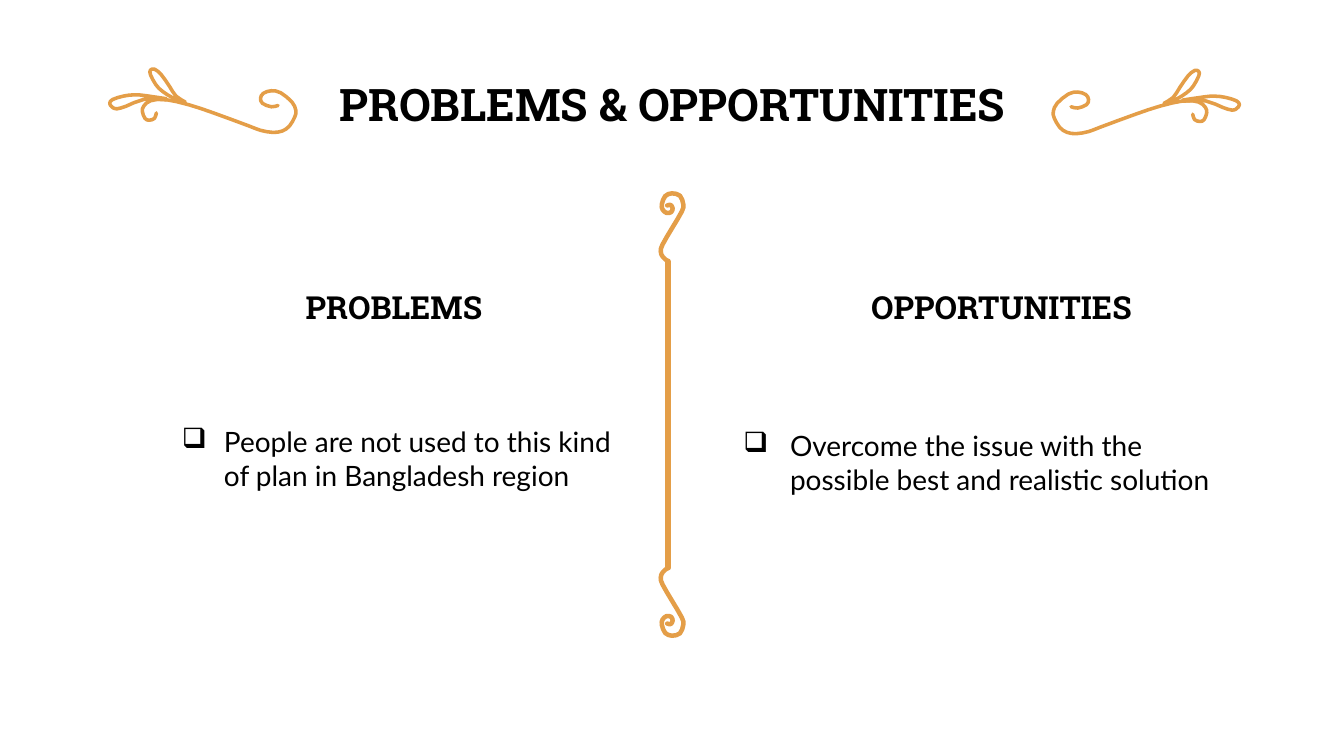
from dataclasses import dataclass

from lxml.etree import SubElement
from pptx import Presentation
from pptx.dml.color import RGBColor as Color
from pptx.enum.shapes import MSO_CONNECTOR as Connector
from pptx.enum.text import MSO_ANCHOR as Anchor, PP_ALIGN as Align
from pptx.oxml.ns import qn
from pptx.util import Pt


@dataclass(frozen=True)
class Theme:
    ink: str = "000000"
    gold: str = "E49E48"
    heading_font: str = "Roboto Slab"
    body_font: str = "Lato"
    title_size: float = 24
    heading_size: float = 17
    body_size: float = 15
    inset: float = 7.2
    branch_width: float = 1.9
    scroll_width: float = 2.4
    bar_width: float = 3


# Centre lines in points, measured from the top left of each ornament.
UPPER_LEAF = [
    (60.5, 18.7), (65.5, 15.5), (69.1, 10.1), (73.4, 4), (77, 1.1), (79.2, 1.6),
    (79.2, 4), (76.3, 9.4), (72.7, 13), (67, 16.6), (61.2, 18.7),
]
LOWER_LEAF = [
    (70.6, 16.9), (82.1, 15.2), (87.8, 14.8), (93.6, 15.5), (99.4, 17.3),
    (101, 19.4), (99.6, 21.4), (97.2, 22.3), (92.2, 20.9), (82.8, 17.3),
    (70.6, 17.5),
]
STEM = [
    (10.8, 20.5), (14.4, 21.2), (19.1, 19.4), (20.2, 16.6), (18.7, 14),
    (14.4, 12.6), (9.4, 13.7), (3.4, 18.6), (1.3, 23), (1.8, 26.5),
    (4.7, 31.5), (8.6, 34.2), (13.7, 34.9), (20.2, 33.8), (26.6, 31.4),
    (45.4, 24.5), (58.3, 20.2), (71.3, 17.3), (79.2, 18), (82.8, 20.9),
    (83.5, 23.8), (82.1, 27.4), (79.9, 28.4), (77, 27.4), (76, 24.5),
]
SCROLL = [
    (4.7, 7.9), (6.5, 7.6), (7.6, 9.4), (6.8, 11.5), (4.3, 11.9), (2.2, 10.1),
    (1.8, 7.2), (3.6, 2.9), (7.2, 1.4), (11.5, 2.7), (13.3, 7.2), (12.6, 11),
    (7.2, 20.2), (2.2, 28.8), (1.2, 32.4), (2.2, 35.3), (5, 37.8),
]


def smooth(points):
    """Add a Catmull-Rom midpoint between each pair of points."""
    padded = [points[0], *points, points[-1]]
    curve = []
    for a, b, c, d in zip(padded, padded[1:], padded[2:], padded[3:]):
        middle = tuple((9 * (q + r) - p - s) / 16
                       for p, q, r, s in zip(a, b, c, d))
        curve += [b, middle]
    return curve + [points[-1]]


def write(paragraph, text, *, font, size, color, bold=False, align=Align.LEFT,
          margin=0, indent=0, bullet=None):
    properties = paragraph._p.get_or_add_pPr()
    properties.set("marL", str(Pt(margin)))
    properties.set("indent", str(Pt(indent)))
    if bullet:
        bullet_color = SubElement(properties, qn("a:buClr"))
        SubElement(bullet_color, qn("a:srgbClr"), val=color)
        SubElement(properties, qn("a:buChar"), char=bullet)
    paragraph.alignment = align
    run = paragraph.add_run()
    run.text = text
    run.font.name = font
    run.font.size = Pt(size)
    run.font.bold = bold
    run.font.color.rgb = Color.from_string(color)


class SlideBuilder:
    def __init__(self, slide, theme):
        self.slide = slide
        self.theme = theme

    def text(self, box, text, **style):
        shape = self.slide.shapes.add_textbox(*map(Pt, box))
        frame = shape.text_frame
        frame.word_wrap = True
        frame.vertical_anchor = Anchor.MIDDLE
        frame.margin_left = frame.margin_right = Pt(self.theme.inset)
        frame.margin_top = frame.margin_bottom = Pt(self.theme.inset)
        write(frame.paragraphs[0], text, color=self.theme.ink, **style)

    def heading(self, box, text, size, **style):
        self.text(box, text, font=self.theme.heading_font, size=size,
                  bold=True, align=Align.CENTER, **style)

    def bullet(self, box, text, margin, indent):
        self.text(box, text, font=self.theme.body_font, size=self.theme.body_size,
                  margin=margin, indent=indent, bullet="❑")

    def stroke(self, shape, width):
        shape.line.color.rgb = Color.from_string(self.theme.gold)
        shape.line.width = Pt(width)
        shape.line._get_or_add_ln().set("cap", "rnd")

    def curve(self, points, width, origin, flip=(1, 1)):
        placed = [
            tuple(Pt(start + sign * value)
                  for start, sign, value in zip(origin, flip, point))
            for point in smooth(points)]
        builder = self.slide.shapes.build_freeform(*placed[0])
        builder.add_line_segments(placed[1:], close=False)
        shape = builder.convert_to_shape()
        shape.shadow.inherit = False
        shape.fill.background()
        self.stroke(shape, width)

    def bar(self, x, top, bottom):
        line = self.slide.shapes.add_connector(
            Connector.STRAIGHT, Pt(x), Pt(top), Pt(x), Pt(bottom))
        self.stroke(line, self.theme.bar_width)
        SubElement(line._element.spPr, qn("a:effectLst"))

    def branch(self, origin, flip=(1, 1)):
        for points in (UPPER_LEAF, LOWER_LEAF, STEM):
            self.curve(points, self.theme.branch_width, origin, flip)

    def divider(self, left, top, bottom):
        join_x, join_y = SCROLL[-1]
        self.curve(SCROLL, self.theme.scroll_width, (left, top))
        self.bar(left + join_x, top + join_y, bottom - join_y)
        self.curve(SCROLL, self.theme.scroll_width, (left, bottom), (1, -1))


def main():
    presentation = Presentation()
    presentation.slide_width, presentation.slide_height = Pt(720), Pt(405)
    theme = Theme()
    slide = presentation.slides.add_slide(presentation.slide_layouts[6])
    builder = SlideBuilder(slide, theme)

    builder.heading((55.4, 28.8, 609.8, 53.3), "PROBLEMS & OPPORTUNITIES",
                    theme.title_size)
    builder.branch((563, 36.7))
    builder.branch((159.8, 36), flip=(-1, 1))

    builder.bullet((79.9, 218.9, 267.8, 53.3),
                   "People are not used to this kind of plan in Bangladesh region",
                   margin=33, indent=-22.5)
    builder.bullet((380.2, 218.9, 276.5, 57.6),
                   "Overcome the issue with the possible best and realistic solution",
                   margin=36, indent=-25)
    for left, width, text in ((143.3, 124.6, "PROBLEMS"),
                              (447.1, 167.8, "OPPORTUNITIES")):
        builder.heading((left, 147.6, width, 33.8), text, theme.heading_size,
                        margin=36, indent=-25)

    builder.divider(left=352.8, top=102.2, bottom=342)
    presentation.save("out.pptx")


if __name__ == "__main__":
    main()
